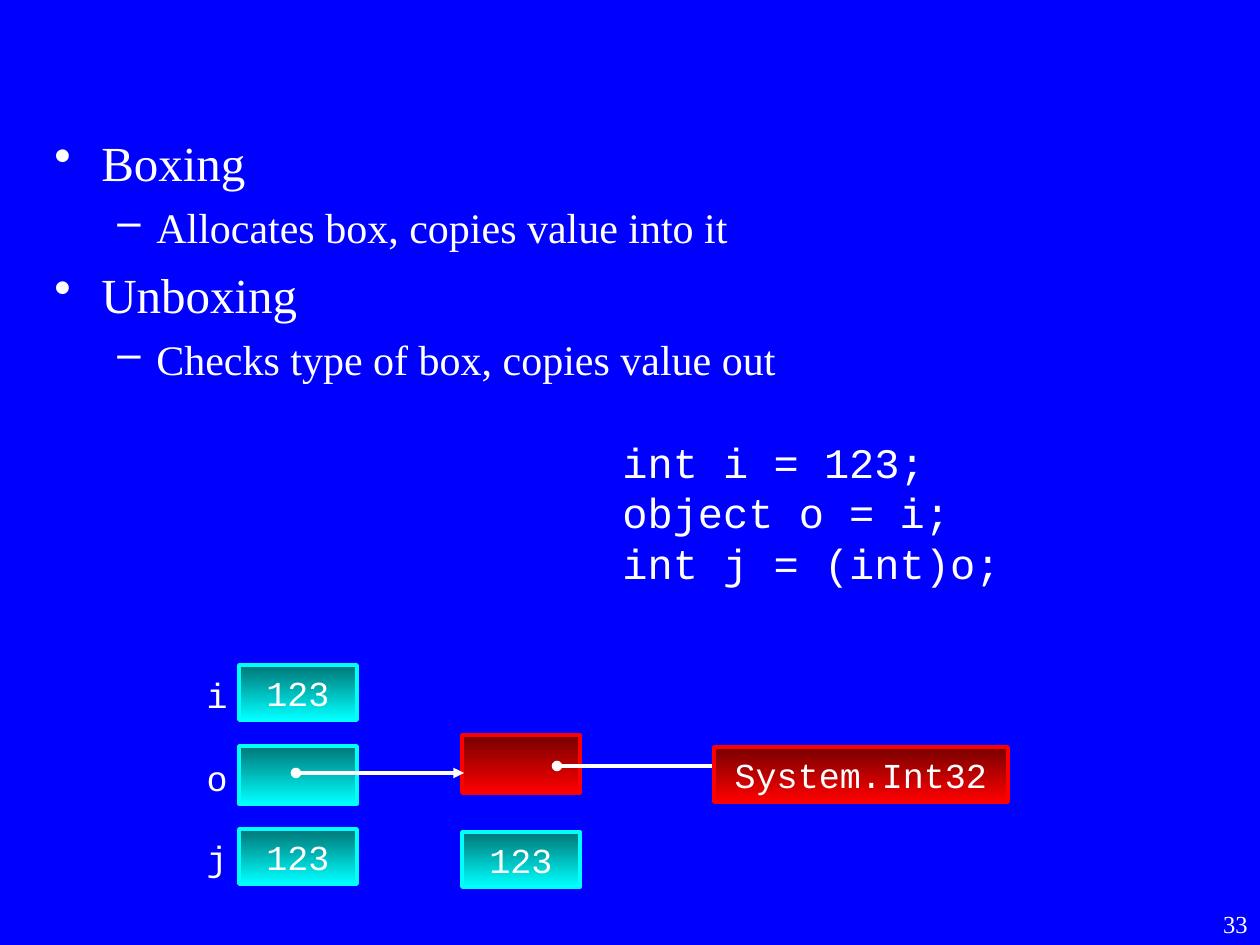
from dataclasses import dataclass

import lxml.etree
import pptx
import pptx.dml.color
import pptx.enum.dml
import pptx.enum.shapes
import pptx.enum.text
import pptx.oxml.ns
import pptx.shapes.autoshape
import pptx.slide
import pptx.text.text
import pptx.util

PX_PER_INCH = 126
RGBColor = pptx.dml.color.RGBColor
BLUE = RGBColor(0x00, 0x00, 0xFF)
WHITE = RGBColor(0xFF, 0xFF, 0xFF)
DARK_TEAL = RGBColor(0x00, 0x76, 0x76)
CYAN = RGBColor(0x00, 0xFF, 0xFF)
DARK_RED = RGBColor(0x76, 0x00, 0x00)
RED = RGBColor(0xFF, 0x00, 0x00)
SERIF = "Times New Roman"
MONO = "Courier New"
LEFT = pptx.enum.text.PP_ALIGN.LEFT
CENTER = pptx.enum.text.PP_ALIGN.CENTER
RIGHT = pptx.enum.text.PP_ALIGN.RIGHT
MIDDLE = pptx.enum.text.MSO_ANCHOR.MIDDLE


@dataclass(frozen=True)
class Area:
    left: int
    top: int
    width: int
    height: int


@dataclass(frozen=True)
class Palette:
    dark: RGBColor
    bright: RGBColor


@dataclass(frozen=True)
class Cell:
    area: Area
    palette: Palette
    value: str = ""


@dataclass(frozen=True)
class Level:
    bullet: str
    size: int
    space_before: int
    margin: int
    hanging: int


@dataclass(frozen=True)
class Reference:
    start: int
    end: int
    y: int


VALUE = Palette(DARK_TEAL, CYAN)
HEADER = Palette(DARK_RED, RED)
TOPIC = Level("•", 28, 7, 47, 47)
DETAIL = Level("–", 24, 6, 102, 39)

BODY = (
    (TOPIC, "Boxing"),
    (DETAIL, "Allocates box, copies value into it"),
    (TOPIC, "Unboxing"),
    (DETAIL, "Checks type of box, copies value out"),
)
CODE = ("int i = 123;", "object o = i;", "int j = (int)o;")
CELLS = (
    Cell(Area(239, 665, 118, 55), VALUE, "123"),
    Cell(Area(239, 746, 118, 58), VALUE),
    Cell(Area(239, 829, 118, 55), VALUE, "123"),
    Cell(Area(462, 735, 118, 58), HEADER),
    Cell(Area(462, 832, 118, 55), VALUE, "123"),
)
TYPE_CELL = Cell(Area(714, 747, 294, 55), HEADER, "System.Int32")
REFERENCES = (Reference(296, 464, 773), Reference(557, 723, 766))
VARIABLES = (("i", 667), ("o", 750), ("j", 830))


def px(length: int) -> pptx.util.Emu:
    return pptx.util.Emu(round(length * 914400 / PX_PER_INCH))


def place(area: Area) -> tuple:
    return px(area.left), px(area.top), px(area.width), px(area.height)


def style(paragraph: pptx.text.text._Paragraph, font_name: str, size: int, align: int = LEFT) -> None:
    paragraph.alignment = align
    paragraph.font.name = font_name
    paragraph.font.size = pptx.util.Pt(size)
    paragraph.font.color.rgb = WHITE


def add_text(slide: pptx.slide.Slide, area: Area, lines: tuple, font_name: str, size: int,
             align: int = LEFT) -> pptx.text.text.TextFrame:
    frame = slide.shapes.add_textbox(*place(area)).text_frame
    frame.word_wrap = False
    frame.text = "\n".join(lines)
    for paragraph in frame.paragraphs:
        style(paragraph, font_name, size, align)
    return frame


def add_bullet(paragraph: pptx.text.text._Paragraph, level: Level) -> None:
    paragraph.space_before = pptx.util.Pt(level.space_before)
    properties = paragraph._p.get_or_add_pPr()
    properties.set("marL", str(px(level.margin)))
    properties.set("indent", str(-px(level.hanging)))
    color = lxml.etree.SubElement(properties, pptx.oxml.ns.qn("a:buClr"))
    lxml.etree.SubElement(color, pptx.oxml.ns.qn("a:srgbClr"), val=str(WHITE))
    lxml.etree.SubElement(properties, pptx.oxml.ns.qn("a:buChar"), char=level.bullet)


def add_body(slide: pptx.slide.Slide) -> None:
    frame = slide.shapes.add_textbox(*place(Area(42, 126, 1187, 746))).text_frame
    frame.word_wrap = True
    frame.text = "\n".join(text for _, text in BODY)
    for paragraph, (level, _) in zip(frame.paragraphs, BODY):
        paragraph.level = 1 if level is DETAIL else 0
        add_bullet(paragraph, level)
        style(paragraph, SERIF, level.size)


def add_cell(slide: pptx.slide.Slide, cell: Cell) -> pptx.shapes.autoshape.Shape:
    box = slide.shapes.add_shape(pptx.enum.shapes.MSO_SHAPE.RECTANGLE, *place(cell.area))
    box.shadow.inherit = False
    box.fill.gradient()
    box.fill.gradient_angle = 270
    for stop, color in zip(box.fill.gradient_stops, (cell.palette.dark, cell.palette.bright)):
        stop.color.rgb = color
    box.line.color.rgb = cell.palette.bright
    box.line.width = pptx.util.Pt(2)
    if cell.value:
        box.text_frame.text = cell.value
        box.text_frame.vertical_anchor = MIDDLE
        style(box.text_frame.paragraphs[0], MONO, 20, CENTER)
    return box


def add_reference(slide: pptx.slide.Slide, reference: Reference) -> None:
    arrow = slide.shapes.add_connector(
        pptx.enum.shapes.MSO_CONNECTOR.STRAIGHT,
        px(reference.start), px(reference.y), px(reference.end), px(reference.y))
    arrow.line.color.rgb = WHITE
    arrow.line.width = pptx.util.Pt(2)
    line = arrow.line._get_or_add_ln()
    lxml.etree.SubElement(line, pptx.oxml.ns.qn("a:headEnd"), type="oval")
    lxml.etree.SubElement(line, pptx.oxml.ns.qn("a:tailEnd"), type="triangle")
    lxml.etree.SubElement(arrow._element.spPr, pptx.oxml.ns.qn("a:effectLst"))


def main() -> None:
    presentation = pptx.Presentation()
    presentation.slide_width = px(1260)
    presentation.slide_height = px(945)
    slide = presentation.slides.add_slide(presentation.slide_layouts[6])
    slide.background.fill.solid()
    slide.background.fill.fore_color.rgb = BLUE

    page_number = add_text(slide, Area(1166, 903, 94, 42), ("33",), SERIF, 14, RIGHT)
    page_number.word_wrap = True
    add_body(slide)
    code = add_text(slide, Area(610, 430, 404, 164), CODE, MONO, 24)
    code.vertical_anchor = MIDDLE

    for cell in CELLS:
        add_cell(slide, cell)
    for reference in REFERENCES:
        add_reference(slide, reference)
    add_cell(slide, TYPE_CELL)
    for name, top in VARIABLES:
        label = add_text(slide, Area(194, top, 46, 55), (name,), MONO, 20, CENTER)
        label.vertical_anchor = MIDDLE

    presentation.save("out.pptx")


if __name__ == "__main__":
    main()
